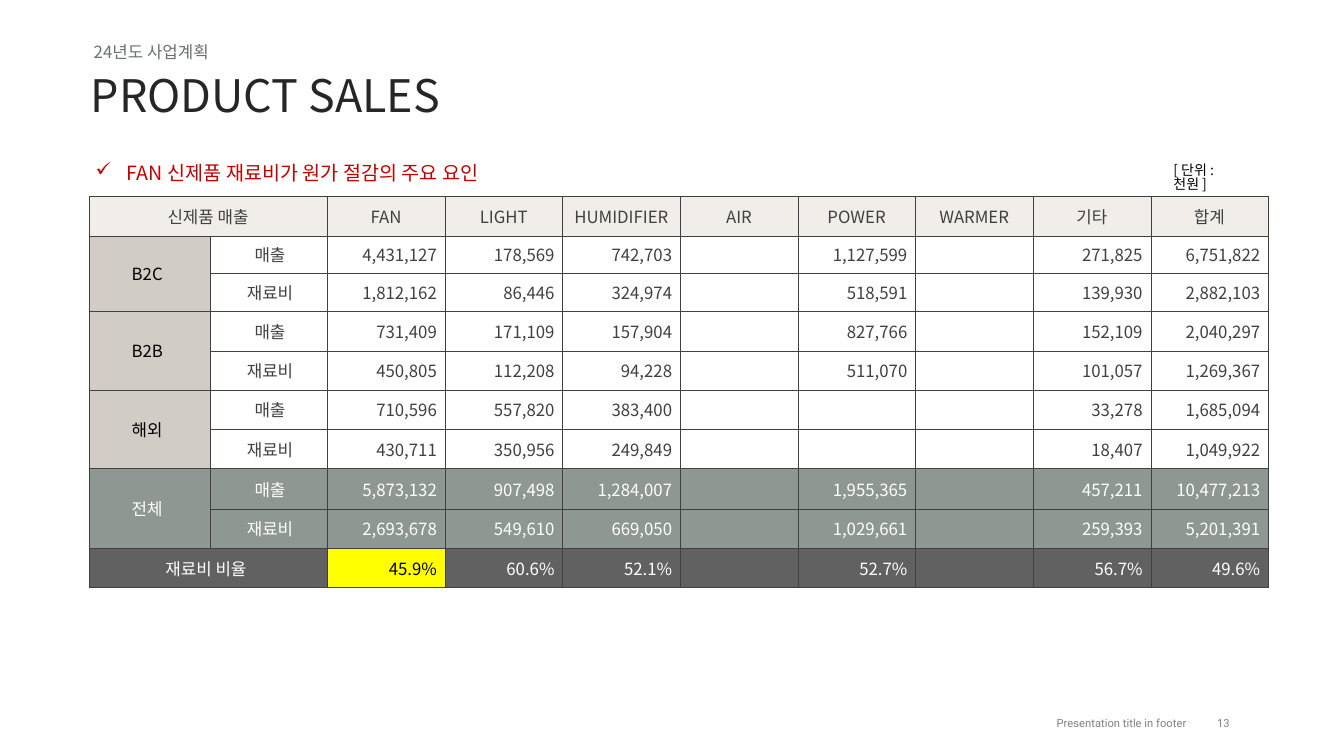
from dataclasses import dataclass

from lxml.etree import SubElement
from pptx import Presentation
from pptx.dml.color import RGBColor
from pptx.enum.text import MSO_ANCHOR as Anchor, MSO_AUTO_SIZE as AutoSize, PP_ALIGN as Align
from pptx.oxml.ns import qn
from pptx.util import Emu, Pt

PX = 9144  # one px is a hundredth of an inch
KOREAN, LATIN = "Noto Sans CJK KR", "Roboto"
BLACK, WHITE, DARK = "000000", "FFFFFF", "404040"
HEADER, GROUP, TOTAL, RATIO, HIGHLIGHT = "F1EEE9", "D1CCC6", "8E9792", "616161", "FFFF00"


@dataclass(frozen=True)
class Label:
    text: str
    left: int
    top: int
    width: int
    height: int
    size: int
    color: str
    font: str = KOREAN
    align: Align = Align.LEFT
    anchor: Anchor = Anchor.TOP
    margins: tuple[int, int, int, int] = (5, 5, 5, 5)
    spacing: float = 0.9
    bullet: str = ""


@dataclass(frozen=True)
class SalesRow:
    height: int
    group: str
    measure: str
    values: tuple[str, ...]
    group_fill: str = GROUP
    fill: str = WHITE
    group_color: str = BLACK
    color: str = DARK


def px(length: float) -> Emu:
    return Emu(round(length * PX))


def rgb(color: str) -> RGBColor:
    return RGBColor.from_string(color)


def format_para(para, size: int, color: str, font: str, align: Align) -> None:
    para.alignment = align
    for span in para.runs:
        span.font.size = Pt(size)
        span.font.name = font
        span.font.color.rgb = rgb(color)
        SubElement(span.font._element, qn("a:ea"), typeface=font)


def set_margins(target, margins: tuple[int, int, int, int]) -> None:
    (target.margin_left, target.margin_top,
     target.margin_right, target.margin_bottom) = map(px, margins)


def write_label(box, label: Label) -> None:
    box.left, box.top = px(label.left), px(label.top)
    box.width, box.height = px(label.width), px(label.height)
    frame = box.text_frame
    frame.text = label.text
    frame.word_wrap = True
    frame.auto_size = AutoSize.NONE
    frame.vertical_anchor = label.anchor
    set_margins(frame, label.margins)
    para = frame.paragraphs[0]
    para.line_spacing = label.spacing
    if label.bullet:
        properties = para._p.get_or_add_pPr()
        properties.set("marL", str(px(31)))
        properties.set("indent", str(px(-31)))
        SubElement(properties, qn("a:buChar"), char=label.bullet)
    format_para(para, label.size, label.color, label.font, label.align)


def style_cell(cell, fill: str) -> None:
    properties = cell._tc.get_or_add_tcPr()
    for side in ("lnL", "lnR", "lnT", "lnB"):
        line = SubElement(properties, qn(f"a:{side}"), w=str(Pt(0.25)))
        SubElement(SubElement(line, qn("a:solidFill")), qn("a:srgbClr"), val=DARK)
    cell.fill.solid()
    cell.fill.fore_color.rgb = rgb(fill)
    cell.vertical_anchor = Anchor.MIDDLE


def write_cell(cell, text: str, color: str, align: Align,
               margins: tuple[int, int, int, int]) -> None:
    set_margins(cell, margins)
    cell.text_frame.text = text
    format_para(cell.text_frame.paragraphs[0], 12, color, KOREAN, align)


def draw_sales_table(page, rows: list[SalesRow]) -> None:
    width, group_width, column_count = 1170, 120, 10
    height = sum(row.height for row in rows)
    table = page.shapes.add_table(len(rows), column_count, px(88), px(195),
                                  px(width), px(height)).table
    table.first_row = table.horz_banding = False
    for index, column in enumerate(table.columns):
        column.width = px((width - group_width) / (column_count - 1) if index else group_width)

    for index, row in enumerate(rows):
        table.rows[index].height = px(row.height)
        is_header = index == 0
        margins = (0, 0, 0, 0) if is_header else (4, 0, 8, 0)
        value_align = Align.CENTER if is_header else Align.RIGHT
        for column in range(column_count):
            highlighted = row.fill == RATIO and column == 2
            fill = HIGHLIGHT if highlighted else row.fill if column else row.group_fill
            cell = table.cell(index, column)
            style_cell(cell, fill)
            if column >= 2:
                color = BLACK if highlighted else row.color
                write_cell(cell, row.values[column - 2], color, value_align, margins)
        if row.group:
            write_cell(table.cell(index, 0), row.group, row.group_color, Align.CENTER, margins)
        if row.measure:
            write_cell(table.cell(index, 1), row.measure, row.color, Align.CENTER, (11, 0, 8, 0))
        # A label without a measure spans two columns, otherwise two rows
        if row.group:
            end = (index + 1, 0) if row.measure else (index, 1)
            table.cell(index, 0).merge(table.cell(*end))


TITLE = Label("PRODUCT SALES", 85, 68, 902, 64, 32, "262626")
FOOTER = dict(top=702, height=31, size=8, color="808080", font=LATIN,
              anchor=Anchor.MIDDLE, margins=(0, 0, 0, 0), spacing=1.0)
LABELS = [
    Label("Presentation title in footer", left=854, width=323, align=Align.RIGHT, **FOOTER),
    Label("13", left=1177, width=73, align=Align.CENTER, **FOOTER),
    Label("[ 단위 : 천원 ]", 1154, 158, 96, 27, 10, BLACK, margins=(10, 5, 24, 5), spacing=0.85),
    Label("FAN 신제품 재료비가 원가 절감의 주요 요인", 85, 158, 655, 34, 14, "C00000",
          margins=(10, 5, 10, 5), spacing=0.85, bullet="✓"),
    Label("24년도 사업계획", 88, 39, 400, 30, 12, "69726D"),
]

SALES, COST = "매출", "재료비"
TOTAL_STYLE = dict(group_fill=TOTAL, fill=TOTAL, group_color=WHITE, color=WHITE)
ROWS = [
    SalesRow(39, "신제품 매출", "",
             ("FAN", "LIGHT", "HUMIDIFIER", "AIR", "POWER", "WARMER", "기타", "합계"),
             group_fill=HEADER, fill=HEADER, group_color=DARK),
    SalesRow(37, "B2C", SALES,
             ("4,431,127", "178,569", "742,703", "", "1,127,599", "", "271,825", "6,751,822")),
    SalesRow(38, "", COST,
             ("1,812,162", "86,446", "324,974", "", "518,591", "", "139,930", "2,882,103")),
    SalesRow(39, "B2B", SALES,
             ("731,409", "171,109", "157,904", "", "827,766", "", "152,109", "2,040,297")),
    SalesRow(39, "", COST,
             ("450,805", "112,208", "94,228", "", "511,070", "", "101,057", "1,269,367")),
    SalesRow(39, "해외", SALES,
             ("710,596", "557,820", "383,400", "", "", "", "33,278", "1,685,094")),
    SalesRow(39, "", COST,
             ("430,711", "350,956", "249,849", "", "", "", "18,407", "1,049,922")),
    SalesRow(40, "전체", SALES,
             ("5,873,132", "907,498", "1,284,007", "", "1,955,365", "", "457,211", "10,477,213"),
             **TOTAL_STYLE),
    SalesRow(39, "", COST,
             ("2,693,678", "549,610", "669,050", "", "1,029,661", "", "259,393", "5,201,391"),
             **TOTAL_STYLE),
    SalesRow(39, "재료비 비율", "",
             ("45.9%", "60.6%", "52.1%", "", "52.7%", "", "56.7%", "49.6%"),
             group_fill=RATIO, fill=RATIO, group_color=WHITE, color=WHITE),
]


def main() -> None:
    deck = Presentation()
    deck.slide_width, deck.slide_height = px(1333), px(750)
    page = deck.slides.add_slide(deck.slide_layouts[5])

    # Title and surrounding text
    write_label(page.shapes.title, TITLE)
    for label in LABELS:
        write_label(page.shapes.add_textbox(0, 0, 0, 0), label)

    # Sales and material cost by product
    draw_sales_table(page, ROWS)
    deck.save("out.pptx")


if __name__ == "__main__":
    main()
